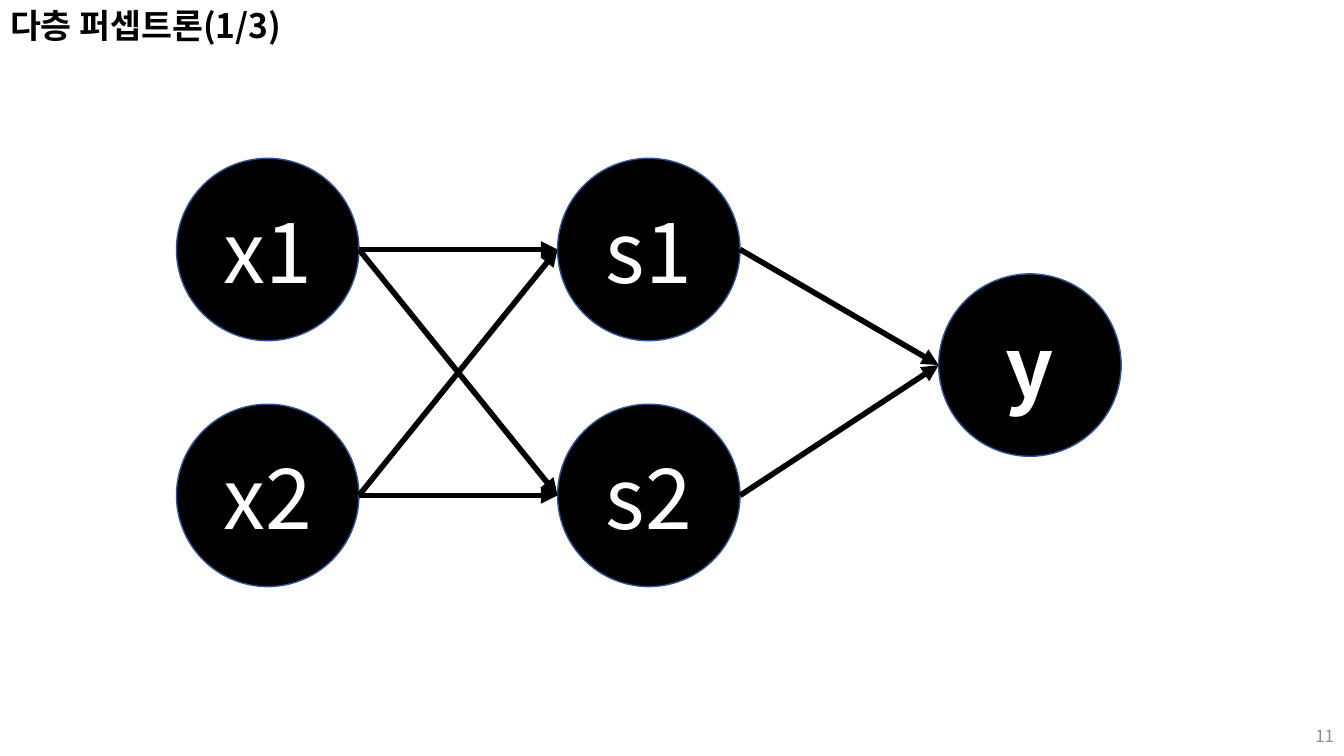
from lxml.etree import SubElement
from pptx import Presentation
from pptx.dml.color import RGBColor
from pptx.enum.shapes import MSO_CONNECTOR as Connector, MSO_SHAPE as Shape
from pptx.enum.text import MSO_ANCHOR as Anchor, MSO_AUTO_SIZE as AutoSize, PP_ALIGN as Align
from pptx.oxml.ns import qn
from pptx.util import Inches, Pt

TITLE = "다층 퍼셉트론(1/3)"
PAGE_NUMBER = "11"
# name: (column, row, bold)
NODES = {
    "x1": (0, 0, False),
    "x2": (0, 1, False),
    "s1": (1, 0, False),
    "s2": (1, 1, False),
    "y": (2, 0.47, True),
}
LINKS = [("x1", "s1"), ("x2", "s2"), ("x1", "s2"), ("x2", "s1"), ("s2", "y"), ("s1", "y")]

FONT = "Noto Sans CJK KR"
BLACK = RGBColor(0x00, 0x00, 0x00)
WHITE = RGBColor(0xFF, 0xFF, 0xFF)
OUTLINE = RGBColor(0x32, 0x54, 0x91)
GRAY = RGBColor(0x8C, 0x8C, 0x8C)

WIDTH, HEIGHT = 13.33, 7.5
LEFT, TOP = 1.75, 1.57
COLUMN_STEP, ROW_STEP = 3.78, 2.44
DIAMETER = 1.81


def write(shape, text, size, color, align, anchor, bold=False):
    frame = shape.text_frame
    frame.text = text
    frame.vertical_anchor = anchor
    paragraph = frame.paragraphs[0]
    paragraph.alignment = align
    font = paragraph.font
    font.name, font.size, font.bold = FONT, Pt(size), bold
    font.color.rgb = color
    # Hangul takes its typeface from the East Asian font slot
    properties = paragraph._p.pPr.find(qn("a:defRPr"))
    SubElement(properties, qn("a:ea"), typeface=FONT)


def add_node(slide, name):
    column, row, bold = NODES[name]
    circle = slide.shapes.add_shape(
        Shape.OVAL, Inches(LEFT + column * COLUMN_STEP), Inches(TOP + row * ROW_STEP),
        Inches(DIAMETER), Inches(DIAMETER))
    circle.shadow.inherit = False
    circle.fill.solid()
    circle.fill.fore_color.rgb = BLACK
    circle.line.color.rgb = OUTLINE
    circle.line.width = Pt(1)
    write(circle, name, 60, WHITE, Align.CENTER, Anchor.MIDDLE, bold)
    return circle


def add_arrow(slide, source, target):
    """Join the right side of one circle to the left side of another."""
    arrow = slide.shapes.add_connector(
        Connector.STRAIGHT,
        source.left + source.width, source.top + source.height // 2,
        target.left, target.top + target.height // 2)
    arrow.line.color.rgb = BLACK
    arrow.line.width = Pt(4)
    SubElement(arrow.line._get_or_add_ln(), qn("a:tailEnd"), type="triangle")
    SubElement(arrow._element.spPr, qn("a:effectLst"))


def main():
    presentation = Presentation()
    presentation.slide_width, presentation.slide_height = Inches(WIDTH), Inches(HEIGHT)
    slide = presentation.slides.add_slide(presentation.slide_layouts[5])

    title = slide.shapes.title
    title.left, title.top, title.width, title.height = 0, 0, Inches(3.12), Inches(0.5)
    write(title, TITLE, 24, BLACK, Align.LEFT, Anchor.TOP, bold=True)
    title.text_frame.word_wrap = False
    title.text_frame.auto_size = AutoSize.SHAPE_TO_FIT_TEXT

    circles = {name: add_node(slide, name) for name in NODES}
    for source, target in LINKS:
        add_arrow(slide, circles[source], circles[target])

    number = slide.shapes.add_textbox(
        Inches(WIDTH - 3), Inches(HEIGHT - 0.4), Inches(3), Inches(0.4))
    number.text_frame.word_wrap = True
    write(number, PAGE_NUMBER, 12, GRAY, Align.RIGHT, Anchor.MIDDLE)

    presentation.save("out.pptx")


if __name__ == "__main__":
    main()
